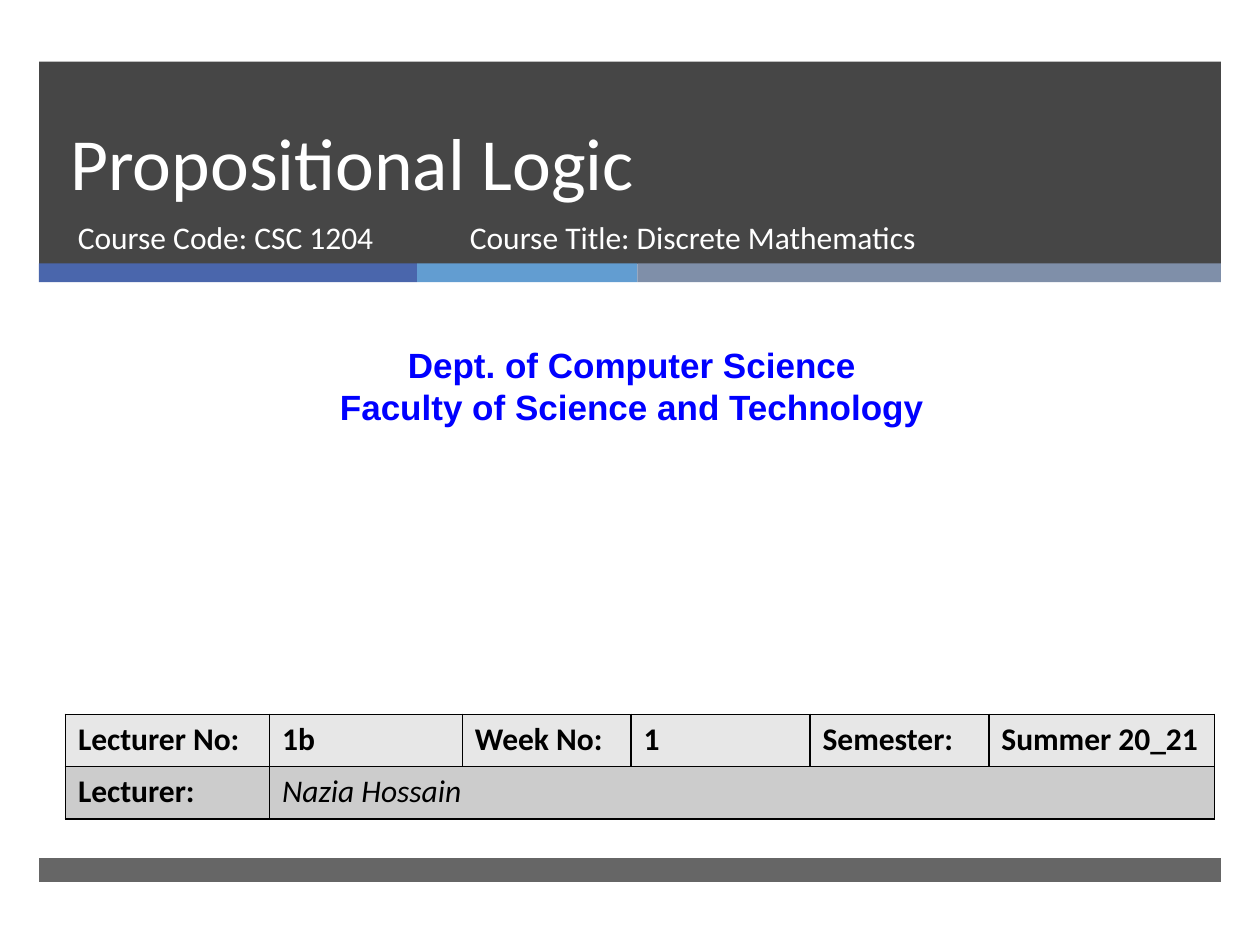
"""Build the opening slide of a lecture on propositional logic."""
from dataclasses import dataclass

from lxml.etree import SubElement
from pptx import Presentation
from pptx.dml.color import RGBColor
from pptx.enum.shapes import MSO_SHAPE as Kind
from pptx.enum.text import MSO_ANCHOR as Anchor, MSO_AUTO_SIZE as Fit, PP_ALIGN as Align
from pptx.oxml.ns import qn
from pptx.util import Pt

LEFT, WIDE = 22.3, 675.4
BLACK, WHITE, BLUE, DARK = "000000", "FFFFFF", "0000FF", "262626"


@dataclass
class Box:
    x: float
    y: float
    w: float
    h: float

    def area(self) -> tuple:
        return Pt(self.x), Pt(self.y), Pt(self.w), Pt(self.h)


@dataclass
class Bar:
    box: Box
    hue: str
    alpha: int = 100


@dataclass
class Style:
    size: float
    hue: str
    face: str = "Calibri"
    bold: bool = False
    slant: bool = False


def paint(fill, hue: str) -> None:
    fill.solid()
    fill.fore_color.rgb = RGBColor.from_string(hue)


def draw_bar(slide, bar: Bar) -> None:
    shape = slide.shapes.add_shape(Kind.RECTANGLE, *bar.box.area())
    shape.shadow.inherit = False
    shape.line.fill.background()
    paint(shape.fill, bar.hue)
    if bar.alpha < 100:
        tone = shape._element.spPr.find(qn("a:solidFill"))[0]
        SubElement(tone, qn("a:alpha"), val=str(bar.alpha * 1000))


def write(para, text: str, style: Style) -> None:
    run = para.add_run()
    run.text = text
    font = run.font
    font.name, font.size = style.face, Pt(style.size)
    font.bold, font.italic = style.bold, style.slant
    paint(font.fill, style.hue)


def add_text(slide, box: Box, lines: list, style: Style, align=Align.LEFT, fit=Fit.NONE) -> None:
    frame = slide.shapes.add_textbox(*box.area()).text_frame
    frame.word_wrap, frame.auto_size = True, fit
    for i, line in enumerate(lines):
        para = frame.add_paragraph() if i else frame.paragraphs[0]
        para.alignment = align
        write(para, line, style)


def add_title(slide, box: Box, text: str, style: Style) -> None:
    title = slide.shapes.title
    title.left, title.top, title.width, title.height = box.area()
    frame = title.text_frame
    frame.word_wrap, frame.auto_size = True, Fit.NONE
    frame.vertical_anchor = Anchor.BOTTOM
    para = frame.paragraphs[0]
    para.alignment, para.line_spacing = Align.LEFT, Pt(46)
    write(para, text, style)
    slide.shapes._spTree.append(title._element)


def edge(cell) -> None:
    props = cell._tc.get_or_add_tcPr()
    for i, side in enumerate(("lnL", "lnR", "lnT", "lnB")):
        line = props.makeelement(qn(f"a:{side}"), {"w": str(Pt(1))})
        fill = SubElement(line, qn("a:solidFill"))
        SubElement(fill, qn("a:srgbClr"), val=BLACK)
        props.insert(i, line)


def add_grid(slide, box: Box, cols: list, rows: list, hues: list) -> None:
    grid = slide.shapes.add_table(len(rows), len(cols), *box.area()).table
    for col, wide in zip(grid.columns, cols):
        col.width = Pt(wide)
    for r, (row, hue) in enumerate(zip(rows, hues)):
        for c in range(len(cols)):
            cell = grid.cell(r, c)
            paint(cell.fill, hue)
            edge(cell)
            if c < len(row):
                name = r == 1 and c == 1
                style = Style(18, BLACK, bold=not name, slant=name)
                write(cell.text_frame.paragraphs[0], row[c], style)
    grid.cell(1, 1).merge(grid.cell(1, len(cols) - 1))


def main() -> None:
    deck = Presentation()
    deck.slide_width, deck.slide_height = Pt(720), Pt(540)
    slide = deck.slides.add_slide(deck.slide_layouts[5])

    draw_bar(slide, Bar(Box(LEFT, 35.3, WIDE, 115.6), DARK, 85))
    x = LEFT
    for wide, hue in ((216, "4A66AC"), (126, "629DD1"), (333.4, "7F8FA9")):
        draw_bar(slide, Bar(Box(x, 150.5, wide, 10.8), hue))
        x += wide
    draw_bar(slide, Bar(Box(LEFT, 490.3, WIDE, 13.7), DARK, 70))

    add_title(slide, Box(33.1, 35.3, 614.9, 85.7), "Propositional Logic", Style(42, WHITE))
    note = Style(18, WHITE)
    add_text(slide, Box(37.4, 121, 219.6, 38.2), ["Course Code: CSC 1204"], note)
    add_text(slide, Box(5.8, 193, 710.6, 55.4),
             ["Dept. of Computer Science", "Faculty of Science and Technology"],
             Style(20, BLUE, "Arial", bold=True), Align.CENTER, Fit.SHAPE_TO_FIT_TEXT)
    add_grid(slide, Box(37.4, 408.2, 656.6, 59.8),
             [116.6, 110.2, 96.5, 102.2, 102.2, 128.9],
             [["Lecturer No:", "1b", "Week No:", "1", "Semester:", "Summer 20_21"],
              ["Lecturer:", "Nazia Hossain"]],
             ["E7E7E7", "CCCCCC"])
    add_text(slide, Box(261.4, 121, 327.6, 38.2), ["Course Title: Discrete Mathematics"], note)
    deck.save("out.pptx")


if __name__ == "__main__":
    main()
